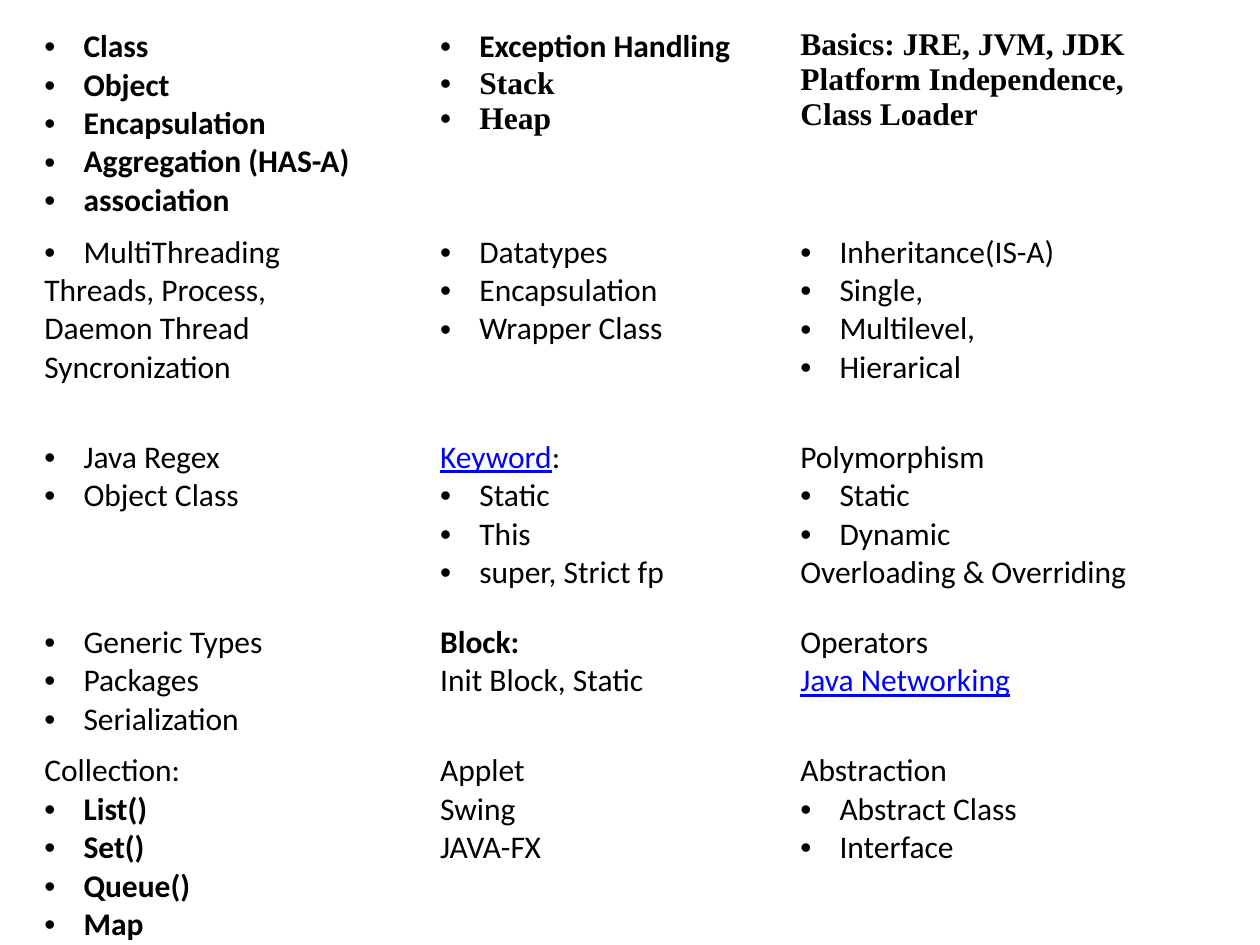
from lxml import etree
from pptx import Presentation
from pptx import util as u
from pptx.dml.color import RGBColor
from pptx.oxml import ns

BLACK = RGBColor(0x00, 0x00, 0x00)
BLUE = RGBColor(0x00, 0x00, 0xFF)
WHITE = RGBColor(0xFF, 0xFF, 0xFF)
BOLD = {"bold": True}
SERIF = {"bold": True, "font": "Times New Roman"}
BULLET = {"bullet": True}
BOLD_BULLET = BULLET | BOLD
SERIF_BULLET = BULLET | SERIF
LINK = {"color": BLUE, "underline": True}


def add_text(paragraph, text, bullet=False, bold=False, font="Calibri", color=BLACK, underline=False):
    if bullet:
        properties = paragraph._p.get_or_add_pPr()
        properties.set("marL", str(u.Cm(0.79)))
        properties.set("indent", str(-u.Cm(0.79)))
        etree.SubElement(properties, ns.qn("a:buFont")).set("typeface", "Arial")
        etree.SubElement(properties, ns.qn("a:buChar")).set("char", "•")
    run = paragraph.add_run()
    run.text = text
    run.font.name = font
    run.font.size = u.Pt(18)
    run.font.bold = bold
    run.font.underline = underline
    run.font.color.rgb = color


def add_border(cell, side, width):
    line = etree.SubElement(cell._tc.get_or_add_tcPr(), ns.qn("a:ln" + side), w=str(u.Pt(width)))
    fill = etree.SubElement(line, ns.qn("a:solidFill"))
    etree.SubElement(fill, ns.qn("a:srgbClr")).set("val", str(WHITE))


topics = [
    [
        [(["Class", "Object", "Encapsulation", "Aggregation (HAS-A)", "association"], BOLD_BULLET)],
        [(["Exception Handling"], BOLD_BULLET), (["Stack", "Heap"], SERIF_BULLET)],
        [(["Basics: JRE, JVM, JDK", "Platform Independence,", "Class Loader"], SERIF)],
    ],
    [
        [(["MultiThreading"], BULLET), (["Threads, Process,", "Daemon Thread", "Syncronization"], {})],
        [(["Datatypes", "Encapsulation", "Wrapper Class"], BULLET)],
        [(["Inheritance(IS-A)", "Single,", "Multilevel,", "Hierarical"], BULLET)],
    ],
    [
        [(["Java Regex", "Object Class"], BULLET)],
        [(["Keyword"], LINK), (["Static", "This", "super, Strict fp"], BULLET)],
        [(["Polymorphism"], {}), (["Static", "Dynamic"], BULLET), (["Overloading & Overriding"], {})],
    ],
    [
        [(["Generic Types", "Packages", "Serialization"], BULLET)],
        [(["Block:"], BOLD), (["Init Block, Static"], {})],
        [(["Operators"], {}), (["Java Networking"], LINK)],
    ],
    [
        [(["Collection:"], {}), (["List()", "Set()", "Queue()", "Map"], BOLD_BULLET)],
        [(["Applet", "Swing", "JAVA-FX"], {})],
        [(["Abstraction"], {}), (["Abstract Class", "Interface"], BULLET)],
    ],
]
column_widths = [7.98, 7.26, 8.69]
row_heights = [4.14, 4.14, 3.73, 2.59, 3.89]

presentation = Presentation()
presentation.slide_width = u.Cm(25.4)
presentation.slide_height = u.Cm(19.05)
slide = presentation.slides.add_slide(presentation.slide_layouts[6])
table = slide.shapes.add_table(
    len(row_heights), len(column_widths), u.Cm(0.64), u.Cm(0.43),
    u.Cm(sum(column_widths)), u.Cm(sum(row_heights)),
).table
table.first_row = False
table.horz_banding = False
for column, width in zip(table.columns, column_widths):
    column.width = u.Cm(width)
for row, height in zip(table.rows, row_heights):
    row.height = u.Cm(height)

for row_index, topic_row in enumerate(topics):
    for column_index, groups in enumerate(topic_row):
        cell = table.cell(row_index, column_index)
        for side in "LRTB":
            add_border(cell, side, 3 if row_index == 0 and side == "B" else 1)
        cell.fill.background()
        lines = [(text, style) for texts, style in groups for text in texts]
        for line_index, (text, style) in enumerate(lines):
            frame = cell.text_frame
            paragraph = frame.paragraphs[0] if line_index == 0 else frame.add_paragraph()
            add_text(paragraph, text, **style)

add_text(table.cell(2, 1).text_frame.paragraphs[0], ":")

presentation.save("out.pptx")
